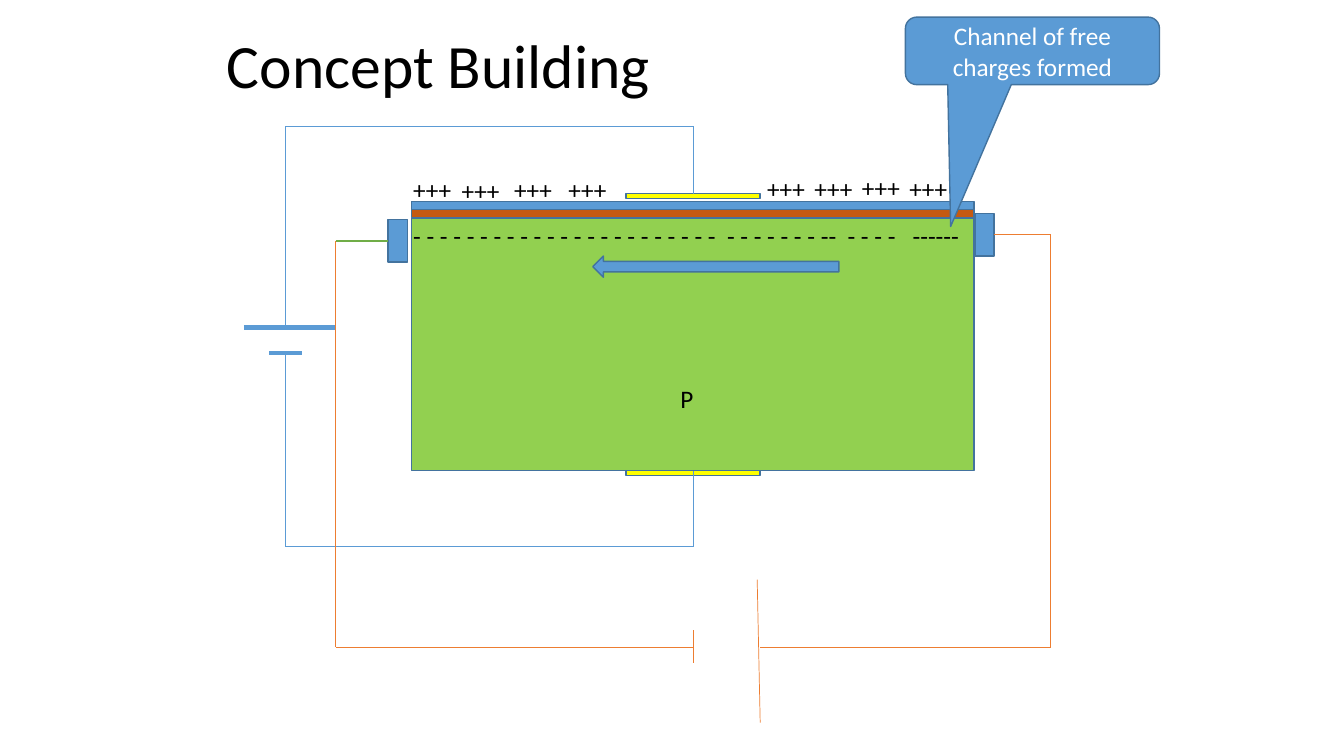
"""Build a slide showing the charge channel formed in a biased P-type block."""
from itertools import pairwise

from lxml import etree
from pptx import Presentation
from pptx.dml.color import RGBColor
from pptx.enum.shapes import MSO_CONNECTOR, MSO_SHAPE
from pptx.enum.text import MSO_ANCHOR, MSO_AUTO_SIZE, PP_ALIGN
from pptx.oxml.ns import qn
from pptx.util import Inches, Pt

RECTANGLE = MSO_SHAPE.RECTANGLE
LEFT_ARROW = MSO_SHAPE.LEFT_ARROW
CALLOUT = MSO_SHAPE.ROUNDED_RECTANGULAR_CALLOUT
STRAIGHT = MSO_CONNECTOR.STRAIGHT
MIDDLE = MSO_ANCHOR.MIDDLE
LEFT, CENTER = PP_ALIGN.LEFT, PP_ALIGN.CENTER
NO_AUTOFIT = MSO_AUTO_SIZE.NONE

BLACK = RGBColor(0x00, 0x00, 0x00)
WHITE = RGBColor(0xFF, 0xFF, 0xFF)
BLUE = RGBColor(0x5B, 0x9B, 0xD5)
OUTLINE = RGBColor(0x43, 0x73, 0x9E)
BROWN = RGBColor(0xC5, 0x5A, 0x11)
LIME = RGBColor(0x92, 0xD0, 0x50)
YELLOW = RGBColor(0xFF, 0xFF, 0x00)
GREEN = RGBColor(0x70, 0xAD, 0x47)
ORANGE = RGBColor(0xED, 0x7D, 0x31)

FONT = "Calibri"
BLOCK_LEFT, BLOCK_WIDTH = 4.08, 5.58
GATE_X, GATE_LEFT, GATE_WIDTH = 6.88, 6.21, 1.33
GATE_CELL_X, DRAIN_CELL_X = 2.83, 3.33
PLUS_SIGNS = [(4.48, 1.69), (4, 1.68), (7.51, 1.67), (5.54, 1.68),
              (7.98, 1.67), (5, 1.68), (8.92, 1.67), (8.45, 1.66)]
ELECTRONS = ("- - - - - - - - - - - - - - - - - - - - - - -  "
             "- - - - - - - --  - - - -   ------")


def write(frame, text, size, color, align=LEFT):
    """Fill a text frame with one formatted paragraph."""
    frame.word_wrap = True
    frame.text = text
    para = frame.paragraphs[0]
    para.alignment = align
    for span in para.runs:
        span.font.name = FONT
        span.font.size = Pt(size)
        span.font.color.rgb = color


def add_title(page, text):
    """Place and format the title placeholder."""
    title = page.shapes.title
    title.left, title.top = Inches(2.15), Inches(0.06)
    title.width, title.height = Inches(9), Inches(1.25)
    frame = title.text_frame
    write(frame, text, 44, BLACK)
    frame.auto_size = NO_AUTOFIT
    frame.vertical_anchor = MIDDLE
    frame.paragraphs[0].line_spacing = 0.9


def add_block(page, left, top, width, height, fill, kind=RECTANGLE):
    """Add a filled, outlined shape and return it."""
    block = page.shapes.add_shape(
        kind, Inches(left), Inches(top), Inches(width), Inches(height))
    block.shadow.inherit = False
    block.fill.solid()
    block.fill.fore_color.rgb = fill
    block.line.color.rgb = OUTLINE
    block.line.width = Pt(1)
    return block


def add_label(page, left, top, width, text):
    """Add a text box with one line of black text."""
    box = page.shapes.add_textbox(
        Inches(left), Inches(top), Inches(width), Inches(0.4))
    write(box.text_frame, text, 18, BLACK)


def add_wire(page, color, points, weight=0.5):
    """Join consecutive points with straight lines."""
    for (x1, y1), (x2, y2) in pairwise(points):
        line = page.shapes.add_connector(
            STRAIGHT, Inches(x1), Inches(y1), Inches(x2), Inches(y2))
        line.line.color.rgb = color
        line.line.width = Pt(weight)
        etree.SubElement(line._element.spPr, qn("a:effectLst"))


def add_callout(page, text):
    """Add the callout that points at the channel."""
    callout = add_block(page, 8.98, 0.17, 2.52, 0.67, BLUE, CALLOUT)
    for index, value in enumerate((-0.322, 2.601, 0.167)):
        callout.adjustments[index] = value
    write(callout.text_frame, text, 18, WHITE, CENTER)
    callout.text_frame.vertical_anchor = MIDDLE


def add_gate_circuit(page):
    """Draw the gate plates, their cell and the wires between them."""
    for top in (1.92, 4.67):
        add_block(page, GATE_LEFT, top, GATE_WIDTH, 0.05, YELLOW)
    add_wire(page, BLUE, [(2.42, 3.25), (3.33, 3.25)], 3)
    add_wire(page, BLUE, [(2.67, 3.5), (3, 3.5)], 3)
    for cell_y, corner_y, plate_y in ((3.25, 1.25, 1.92), (3.5, 5.42, 4.67)):
        add_wire(page, BLUE, [(GATE_CELL_X, cell_y), (GATE_CELL_X, corner_y),
                              (GATE_X, corner_y), (GATE_X, plate_y)])


def add_drain_circuit(page):
    """Draw the side contacts, their cell and the wires between them."""
    for left, top in ((9.67, 2.12), (3.85, 2.18)):
        add_block(page, left, top, 0.19, 0.42, BLUE)
    add_wire(page, GREEN, [(3.85, 2.39), (DRAIN_CELL_X, 2.39)], 1)
    add_wire(page, ORANGE, [(DRAIN_CELL_X, 2.39), (DRAIN_CELL_X, 6.42), (GATE_X, 6.42)])
    add_wire(page, ORANGE, [(9.86, 2.33), (10.42, 2.33), (10.42, 6.42), (7.54, 6.42)])
    add_wire(page, ORANGE, [(GATE_X, 6.25), (GATE_X, 6.58)])
    add_wire(page, ORANGE, [(7.51, 5.75), (7.54, 7.17)])


def main():
    """Assemble the slide and save the deck."""
    deck = Presentation()
    deck.slide_width, deck.slide_height = Inches(13.33), Inches(7.5)
    page = deck.slides.add_slide(deck.slide_layouts[5])
    add_title(page, "Concept Building")
    for top, height, fill in ((2, 0.08, BLUE), (2.08, 0.08, BROWN), (2.17, 2.5, LIME)):
        add_block(page, BLOCK_LEFT, top, BLOCK_WIDTH, height, fill)
    add_label(page, 6.65, 3.75, 2.67, "P")
    add_gate_circuit(page)
    for left, top in PLUS_SIGNS:
        add_label(page, left, top, 0.67, "+++")
    add_label(page, 4, 2.14, 5.85, ELECTRONS)
    add_drain_circuit(page)
    add_block(page, 5.88, 2.54, 2.44, 0.21, BLUE, LEFT_ARROW)
    add_callout(page, "Channel of free charges formed")
    deck.save("out.pptx")


if __name__ == "__main__":
    main()
